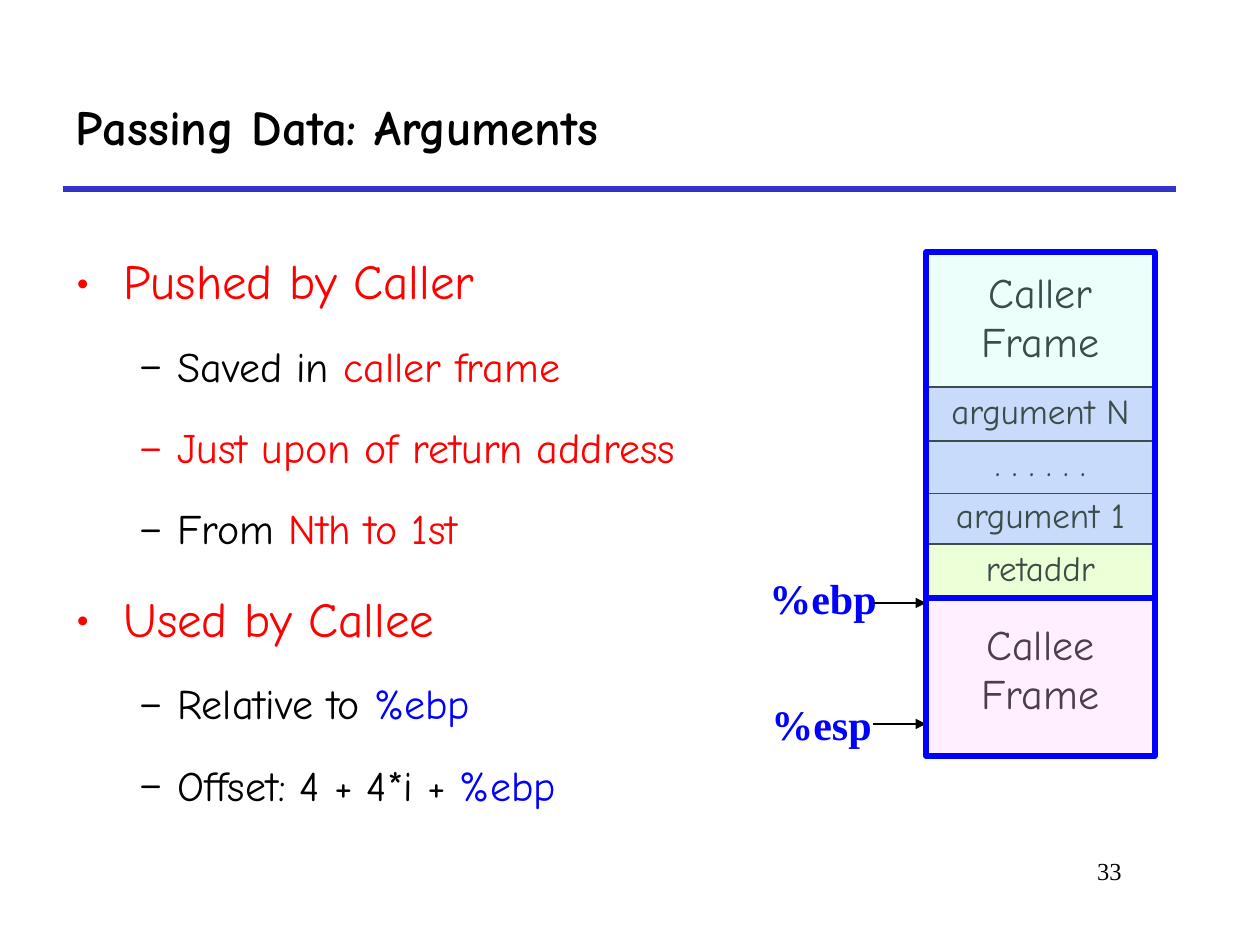
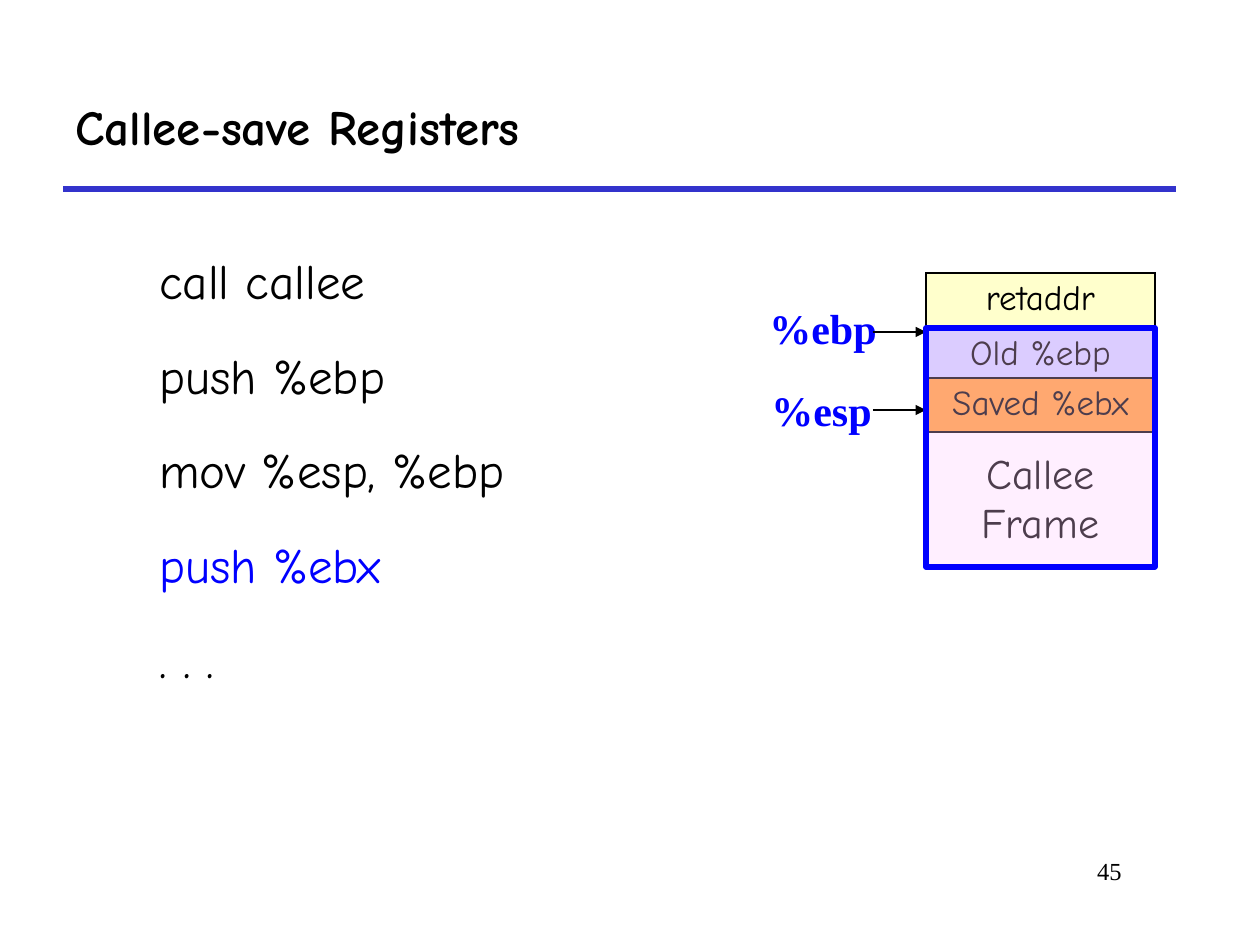
from dataclasses import dataclass
from typing import Optional

from lxml import etree
from pptx import Presentation
from pptx import util as u
from pptx.dml.color import RGBColor
from pptx.enum import shapes, text
from pptx.oxml.ns import qn

PX = 914400 / 126
COLORS = {
    "black": "000000",
    "red": "FF0000",
    "blue": "0000FF",
    "rule": "3333CC",
    "lilac": "CCCCFF",
    "yellow": "FFFFCC",
    "orange": "FF9933",
    "mint": "C2FFF0",
    "pink": "FFCCFF",
}
HAND = "Comic Neue"
SERIF = "Times New Roman"
STACK_LEFT, STACK_WIDTH, ROW_HEIGHT = 926, 229, 54
ARROW_LEFT = 873


@dataclass(frozen=True)
class Span:
    words: str
    color: str = "black"


@dataclass(frozen=True)
class Line:
    spans: tuple[Span, ...]
    size: int = 28
    before: int = 7
    bullet: str = ""
    margin: int = 0
    hang: int = 0


@dataclass(frozen=True)
class Cell:
    label: str
    top: int
    height: int = ROW_HEIGHT
    fill: Optional[str] = None
    size: int = 20
    inset: int = 6


@dataclass(frozen=True)
class Pointer:
    label: str
    left: int
    top: int
    width: int
    tip: int


@dataclass(frozen=True)
class Outline:
    top: int
    height: int
    fill: str


@dataclass(frozen=True)
class Page:
    title: str
    number: str
    body: tuple[int, int, int, int]
    lines: tuple[Line, ...]
    cells: tuple[Cell, ...]
    pointers: tuple[Pointer, ...]
    outlines: tuple[Outline, ...]


def px(length: int) -> u.Emu:
    return u.Emu(round(length * PX))


def rgb(name: str) -> RGBColor:
    return RGBColor.from_string(COLORS[name])


def style(para, size: int, color: str = "black", font: str = HAND, bold: bool = False) -> None:
    for run in para.runs:
        run.font.size = u.Pt(size)
        run.font.name = font
        run.font.bold = bold
        run.font.color.rgb = rgb(color)


def add_color(parent, name: str):
    return etree.SubElement(parent, qn("a:srgbClr"), val=COLORS[name])


def add_text(page, box: tuple[int, int, int, int]):
    frame = page.shapes.add_textbox(*map(px, box)).text_frame
    frame.word_wrap = True
    return frame


def add_line(page, start: tuple[int, int], end: tuple[int, int], color: str, width: float,
             arrow: bool = False) -> None:
    line = page.shapes.add_connector(
        shapes.MSO_CONNECTOR.STRAIGHT, *map(px, start), *map(px, end))
    line.line.color.rgb = rgb(color)
    line.line.width = u.Pt(width)
    if arrow:
        etree.SubElement(line.line._get_or_add_ln(), qn("a:tailEnd"), type="triangle")
    etree.SubElement(line._element.spPr, qn("a:effectLst"))


def add_body(page, box: tuple[int, int, int, int], lines: tuple[Line, ...]) -> None:
    frame = add_text(page, box)
    for index, line in enumerate(lines):
        para = frame.add_paragraph() if index else frame.paragraphs[0]
        if line.bullet:
            props = para._p.get_or_add_pPr()
            props.set("marL", str(px(line.margin)))
            props.set("indent", str(px(-line.hang)))
            add_color(etree.SubElement(props, qn("a:buClr")), line.spans[0].color)
            etree.SubElement(props, qn("a:buFont"), typeface=HAND)
            etree.SubElement(props, qn("a:buChar"), char=line.bullet)
        para.line_spacing = 1.4
        para.space_before = u.Pt(line.before if index else 0)
        for span in line.spans:
            para.add_run().text = span.words
        style(para, line.size)
        for run, span in zip(para.runs, line.spans):
            run.font.color.rgb = rgb(span.color)


def add_cell(page, item: Cell) -> None:
    table = page.shapes.add_table(
        1, 1, px(STACK_LEFT), px(item.top), px(STACK_WIDTH), px(item.height)).table
    table.first_row = False
    table.horz_banding = False
    cell = table.cell(0, 0)
    props = cell._tc.get_or_add_tcPr()
    for side in ("lnL", "lnR", "lnT", "lnB"):
        border = etree.SubElement(props, qn(f"a:{side}"), w=str(u.Pt(1.08)))
        add_color(etree.SubElement(border, qn("a:solidFill")), "black")
    if item.fill:
        cell.fill.solid()
        cell.fill.fore_color.rgb = rgb(item.fill)
    else:
        cell.fill.background()
    cell.margin_top = px(item.inset)
    para = cell.text_frame.paragraphs[0]
    para.text = item.label
    para.alignment = text.PP_ALIGN.CENTER
    style(para, item.size)


def add_pointer(page, pointer: Pointer) -> None:
    frame = add_text(page, (pointer.left, pointer.top, pointer.width, 63))
    frame.margin_right = 0
    frame.text = pointer.label
    style(frame.paragraphs[0], 24, "blue", SERIF, True)
    add_line(page, (ARROW_LEFT, pointer.tip), (STACK_LEFT, pointer.tip), "black", 0.75, True)


def add_outline(page, outline: Outline) -> None:
    box = page.shapes.add_shape(
        shapes.MSO_SHAPE.RECTANGLE, px(STACK_LEFT), px(outline.top),
        px(STACK_WIDTH), px(outline.height))
    box.shadow.inherit = False
    box.fill.solid()
    box.fill.fore_color.rgb = rgb(outline.fill)
    color = box._element.spPr.find(qn("a:solidFill")).find(qn("a:srgbClr"))
    etree.SubElement(color, qn("a:alpha"), val="30000")
    box.line.color.rgb = rgb("blue")
    box.line.width = u.Pt(3)


def add_page(deck, content: Page) -> None:
    page = deck.slides.add_slide(deck.slide_layouts[5])
    title = page.shapes.title
    title.left, title.top, title.width, title.height = map(px, (63, 63, 1113, 126))
    title.text_frame.text = content.title
    title.text_frame.vertical_anchor = text.MSO_ANCHOR.MIDDLE
    para = title.text_frame.paragraphs[0]
    para.alignment = text.PP_ALIGN.LEFT
    style(para, 28, bold=True)
    add_line(page, (63, 189), (1176, 189), "rule", 3)

    number = add_text(page, (955, 850, 179, 63))
    number.text = content.number
    number.paragraphs[0].alignment = text.PP_ALIGN.RIGHT
    style(number.paragraphs[0], 14, font=SERIF)

    add_body(page, content.body, content.lines)
    for cell in content.cells:
        add_cell(page, cell)
    for pointer in content.pointers:
        add_pointer(page, pointer)
    for outline in content.outlines:
        add_outline(page, outline)


def point(words: str) -> Line:
    return Line((Span(words, "red"),), bullet="•", margin=48, hang=48)


def detail(*spans: Span) -> Line:
    return Line(spans, 24, 6, "–", 102, 39)


def code(words: str, color: str = "black") -> Line:
    return Line((Span(words, color),))


PAGES = (
    Page(
        "Passing Data: Arguments", "33", (63, 221, 1155, 609),
        (
            point("Pushed by Caller"),
            detail(Span("Saved in "), Span("caller frame", "red")),
            detail(Span("Just upon of return address", "red")),
            detail(Span("From "), Span("Nth to 1st", "red")),
            point("Used by Callee"),
            detail(Span("Relative to "), Span("%ebp", "blue")),
            detail(Span("Offset: 4 + 4*i + "), Span("%ebp", "blue")),
        ),
        (
            Cell("argument 1", 491, fill="lilac"),
            Cell(". . . . . .", 439, fill="lilac"),
            Cell("argument N", 387, fill="lilac"),
            Cell("Callee\nFrame", 598, 158, size=24, inset=25),
            Cell("retaddr", 544, fill="yellow"),
            Cell("Caller\nFrame", 252, 346, size=24, inset=19),
        ),
        (Pointer("%ebp", 757, 566, 132, 603), Pointer("%esp", 759, 692, 125, 724)),
        (Outline(252, 346, "mint"), Outline(598, 158, "pink")),
    ),
    Page(
        "Callee-save Registers", "45", (147, 221, 1071, 661),
        (
            code("call callee"),
            code("push %ebp"),
            code("mov %esp, %ebp"),
            code("push %ebx", "blue"),
            code(". . ."),
        ),
        (
            Cell("Old %ebp", 328, fill="lilac"),
            Cell("Saved %ebx", 378, fill="orange"),
            Cell("Callee\nFrame", 328, 239, size=24, inset=124),
            Cell("retaddr", 273, fill="yellow"),
        ),
        (Pointer("%ebp", 757, 296, 132, 332), Pointer("%esp", 759, 378, 125, 410)),
        (Outline(328, 239, "pink"),),
    ),
)


def main() -> None:
    deck = Presentation()
    deck.slide_width, deck.slide_height = px(1260), px(945)
    for content in PAGES:
        add_page(deck, content)
    deck.save("out.pptx")


if __name__ == "__main__":
    main()
